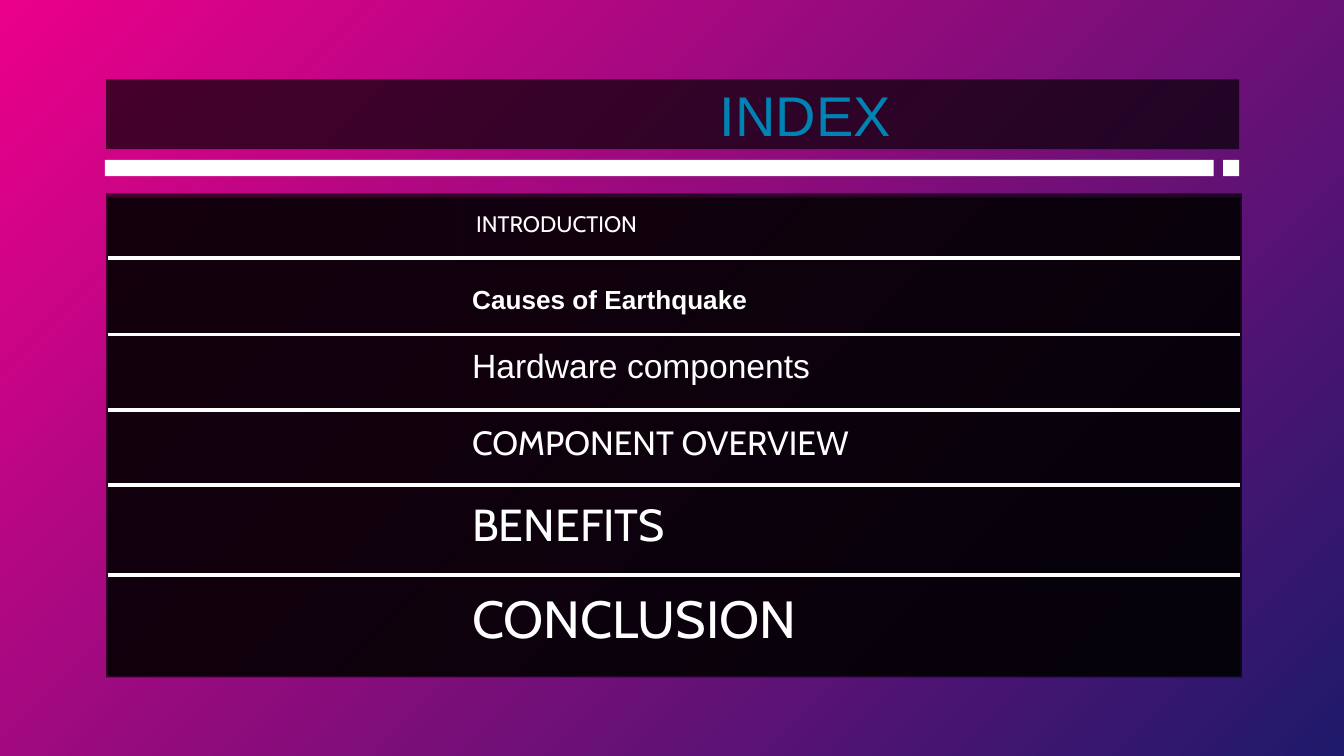
from lxml import etree
from pptx import Presentation
from pptx import util as u
from pptx.dml.color import RGBColor
from pptx.enum import shapes, text
from pptx.oxml.ns import qn

COLORS = {"pink": "EB008B", "navy": "1F1A6B", "black": "000000",
          "white": "FFFFFF", "blue": "0082B2"}
GRID = u.Inches(0.1)
COLUMNS, ROWS = 100, 56.25
VEIL = 68
INSET = 1
TOPICS = [
    ("INTRODUCTION", "Cabin", 12, 4.5),
    ("Causes of Earthquake", "Arial", 14, 5.7),
    ("Hardware components", "Arial", 18, 5.6),
    ("COMPONENT OVERVIEW", "Cabin", 18, 5.6),
    ("BENEFITS", "Cabin", 24, 6.7),
    ("CONCLUSION", "Cabin", 28, 7.5),
]


def span(units):
    return u.Emu(round(units * GRID))


def rgb(name):
    return RGBColor.from_string(COLORS[name])


def paint(fill, color):
    fill.solid()
    fill.fore_color.rgb = rgb(color)


def make_veil(properties):
    color = properties.find(qn("a:solidFill")).find(qn("a:srgbClr"))
    etree.SubElement(color, qn("a:alpha"), val=str(VEIL * 1000))


def add_block(slide, box, color):
    block = slide.shapes.add_shape(shapes.MSO_SHAPE.RECTANGLE, *map(span, box))
    block.shadow.inherit = False
    block.line.fill.background()
    paint(block.fill, color)
    return block


def add_veil(slide, box):
    veil = add_block(slide, box, "black")
    make_veil(veil._element.spPr)
    return veil


def style_text(paragraph, font, size, color):
    for run in paragraph.runs:
        run.font.name = font
        run.font.size = u.Pt(size)
        run.font.color.rgb = rgb(color)


def set_margins(holder, units):
    holder.margin_left = holder.margin_right = span(units)
    holder.margin_top = holder.margin_bottom = span(units)


def set_borders(cell, ruled_sides):
    properties = cell._tc.get_or_add_tcPr()
    for position, side in enumerate(("lnL", "lnR", "lnT", "lnB")):
        border = etree.Element(qn(f"a:{side}"), w=str(u.Pt(2.25)))
        if side in ruled_sides:
            fill = etree.SubElement(border, qn("a:solidFill"))
            etree.SubElement(fill, qn("a:srgbClr"), val=COLORS["white"])
        else:
            etree.SubElement(border, qn("a:noFill"))
        properties.insert(position, border)


def draw_background(slide):
    fill = slide.background.fill
    fill.gradient()
    fill.gradient_angle = 315
    for stop, color, position in zip(fill.gradient_stops, ("pink", "navy"), (0, 1)):
        stop.color.rgb = rgb(color)
        stop.position = position


def draw_title(slide, box):
    title = add_veil(slide, box)
    frame = title.text_frame
    set_margins(frame, INSET)
    frame.vertical_anchor = text.MSO_ANCHOR.MIDDLE
    frame.text = "INDEX"
    heading = frame.paragraphs[0]
    heading.alignment = text.PP_ALIGN.LEFT
    heading._p.get_or_add_pPr().set("marL", str(span(box[2] * 0.53)))
    style_text(heading, "Arial", 30, "blue")


def draw_divider(slide, box):
    left, top, width, height = box
    gap = 0.7
    add_block(slide, (left, top, width - height - gap, height), "white")
    add_block(slide, (left + width - height, top, height, height), "white")


def draw_topics(slide, box):
    table = slide.shapes.add_table(len(TOPICS), 2, *map(span, box)).table
    table.first_row = table.horz_banding = False
    margin_column = box[2] * 0.31
    table.columns[0].width = span(margin_column)
    table.columns[1].width = span(box[2] - margin_column)
    for index, (topic, font, size, height) in enumerate(TOPICS):
        table.rows[index].height = span(height)
        ruled = {"lnT"} if index else set()
        if index < len(TOPICS) - 1:
            ruled.add("lnB")
        for cell, inset in zip(table.rows[index].cells, (0, INSET)):
            set_margins(cell, inset)
            paint(cell.fill, "black")
            make_veil(cell._tc.get_or_add_tcPr())
            set_borders(cell, ruled)
        entry = table.cell(index, 1)
        entry.text_frame.text = topic
        style_text(entry.text_frame.paragraphs[0], font, size, "white")
    table.cell(0, 1).margin_left = span(INSET + 0.3)
    causes = table.cell(1, 1).text_frame.paragraphs[0]
    causes.line_spacing = 1.5
    causes.runs[0].font.bold = True


def main():
    deck = Presentation()
    deck.slide_width, deck.slide_height = span(COLUMNS), span(ROWS)
    slide = deck.slides.add_slide(deck.slide_layouts[6])
    draw_background(slide)
    add_veil(slide, (7.9, 14.4, 84.5, 36))
    draw_title(slide, (7.9, 5.9, 84.3, 5.2))
    draw_topics(slide, (8, 14.7, 84.3, 35.6))
    draw_divider(slide, (7.8, 11.9, 84.4, 1.2))
    deck.save("out.pptx")


if __name__ == "__main__":
    main()
